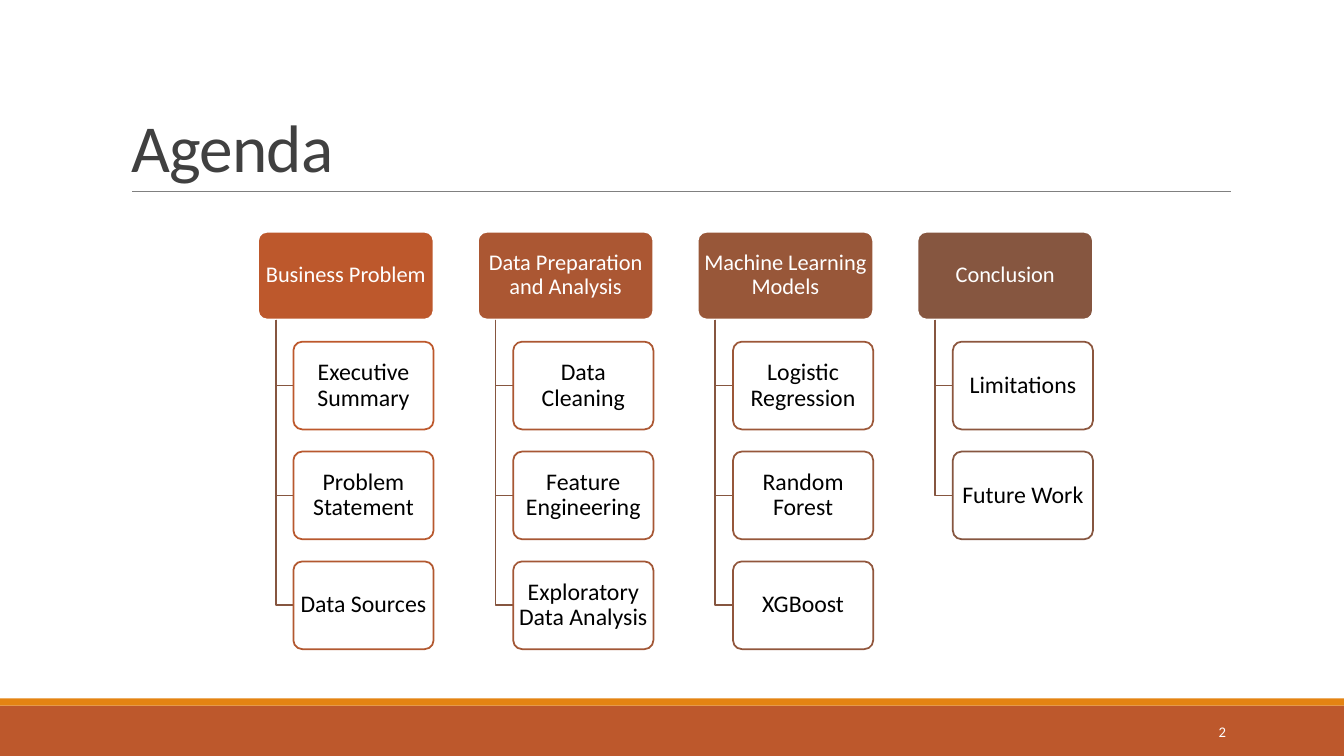
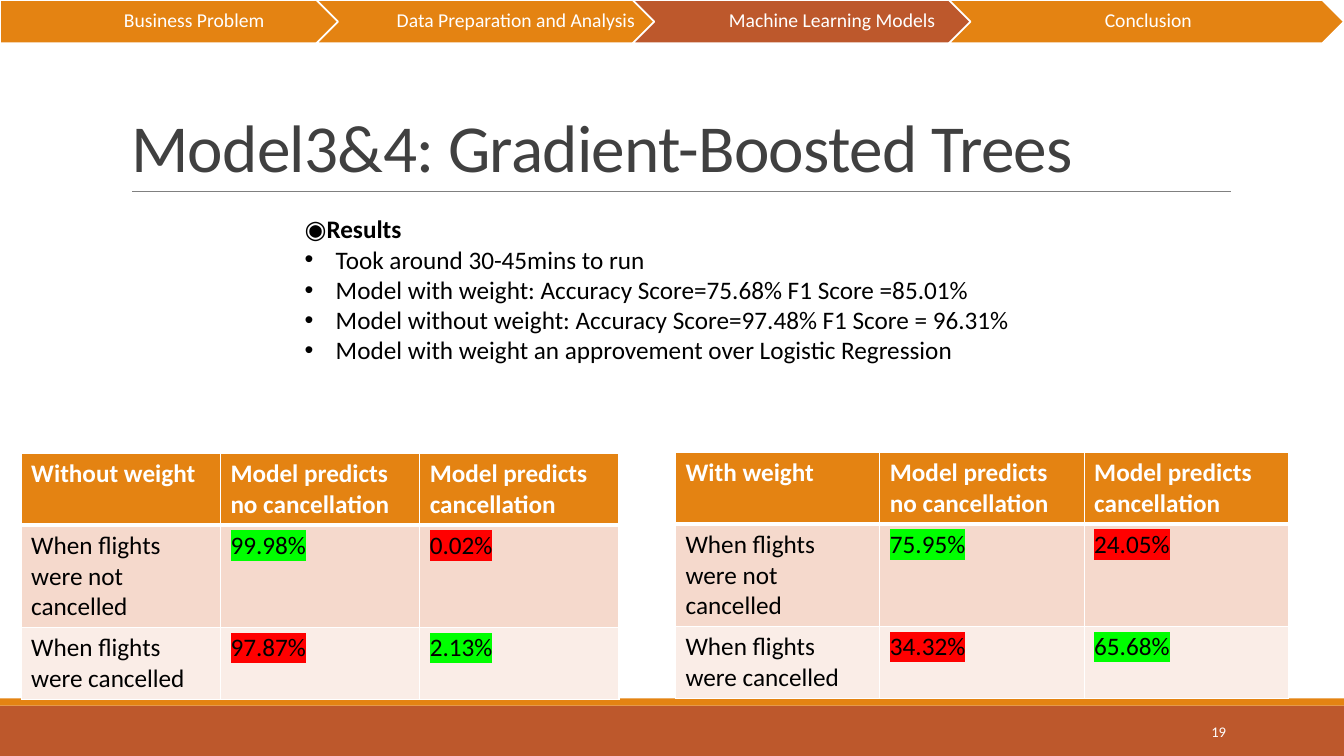
import lxml.etree
import pptx
import pptx.dml.color
import pptx.enum.shapes
import pptx.enum.text
import pptx.oxml.ns
import pptx.util

Inches = pptx.util.Inches
Pt = pptx.util.Pt
RGBColor = pptx.dml.color.RGBColor
SHAPE = pptx.enum.shapes.MSO_SHAPE
ALIGN = pptx.enum.text.PP_ALIGN
ANCHOR = pptx.enum.text.MSO_ANCHOR
qn = pptx.oxml.ns.qn

RUST = RGBColor(0xBD, 0x58, 0x2C)
ORANGE = RGBColor(0xE4, 0x83, 0x12)
BROWN = RGBColor(0x86, 0x56, 0x40)
WHITE = RGBColor(0xFF, 0xFF, 0xFF)
BLACK = RGBColor(0x00, 0x00, 0x00)
CHARCOAL = RGBColor(0x40, 0x40, 0x40)
GRAY = RGBColor(0x80, 0x80, 0x80)
PEACH = RGBColor(0xF5, 0xD9, 0xCC)
PALE_PEACH = RGBColor(0xFA, 0xED, 0xE7)
GREEN = RGBColor(0x00, 0xFF, 0x00)
RED = RGBColor(0xFF, 0x00, 0x00)

FONT = "Calibri"
PAGE_WIDTH, PAGE_HEIGHT = 13.33, 7.5
TITLE_ONLY, TITLE_AND_CONTENT = 5, 1

AGENDA = {
    "Business Problem": ["Executive Summary", "Problem Statement", "Data Sources"],
    "Data Preparation and Analysis": [
        "Data Cleaning", "Feature Engineering", "Exploratory Data Analysis"],
    "Machine Learning Models": ["Logistic Regression", "Random Forest", "XGBoost"],
    "Conclusion": ["Limitations", "Future Work"],
}
RESULTS = [
    "Took around 30-45mins to run",
    "Model with weight: Accuracy Score=75.68% F1 Score =85.01%",
    "Model without weight: Accuracy Score=97.48% F1 Score = 96.31%",
    "Model with weight an approvement over Logistic Regression",
]
PREDICTIONS = ["Model predicts no cancellation", "Model predicts cancellation"]
OUTCOMES = ["When flights were not cancelled", "When flights were cancelled"]


def place(left, top, width, height):
    return Inches(left), Inches(top), Inches(width), Inches(height)


def add_text(para, text, *, size=18, color=BLACK, bold=False, align=ALIGN.LEFT,
             line_spacing=1.0, tracking=None, highlight=None):
    """Append one formatted span to a paragraph."""
    para.alignment = align
    para.line_spacing = line_spacing
    para.space_before = para.space_after = Pt(0)
    span = para.add_run()
    span.text = text
    span.font.name = FONT
    span.font.size = Pt(size)
    span.font.bold = bold
    span.font.color.rgb = color
    properties = span.font._element
    if tracking is not None:
        properties.set("spc", str(int(tracking * 100)))
    if highlight is not None:
        marker = lxml.etree.Element(qn("a:highlight"))
        lxml.etree.SubElement(marker, qn("a:srgbClr"), val=str(highlight))
        properties.find(qn("a:solidFill")).addnext(marker)


def set_frame(frame, anchor, inset=None):
    frame.word_wrap = True
    frame.auto_size = pptx.enum.text.MSO_AUTO_SIZE.NONE
    frame.vertical_anchor = anchor
    if inset is not None:
        frame.margin_left = frame.margin_right = Inches(inset)
        frame.margin_top = frame.margin_bottom = Inches(0.02)


def set_bullet(para, character=None, indent=0.0):
    properties = para._p.get_or_add_pPr()
    properties.set("marL", str(Inches(indent)))
    properties.set("indent", str(-Inches(indent)))
    if character is None:
        lxml.etree.SubElement(properties, qn("a:buNone"))
    else:
        lxml.etree.SubElement(properties, qn("a:buFont"), typeface="Arial")
        lxml.etree.SubElement(properties, qn("a:buChar"), char=character)


def add_box(page, kind, bounds, fill, line=None):
    box = page.shapes.add_shape(kind, *place(*bounds))
    box.shadow.inherit = False
    box.fill.solid()
    box.fill.fore_color.rgb = fill
    if line is None:
        box.line.fill.background()
    else:
        box.line.color.rgb = line
        box.line.width = Pt(1.25)
    return box


def add_page(deck, layout, title, number):
    """Add a slide with the shared title, rule, bands and page number."""
    page = deck.slides.add_slide(deck.slide_layouts[layout])
    add_box(page, SHAPE.RECTANGLE, (0, 7, PAGE_WIDTH, 0.5), RUST)
    add_box(page, SHAPE.RECTANGLE, (0, 6.93, PAGE_WIDTH, 0.07), ORANGE)

    rule = page.shapes.add_connector(
        pptx.enum.shapes.MSO_CONNECTOR.STRAIGHT,
        Inches(1.31), Inches(1.9), Inches(12.21), Inches(1.9))
    rule.line.color.rgb = GRAY
    rule.line.width = Pt(0.5)
    lxml.etree.SubElement(rule._element.spPr, qn("a:effectLst"))

    heading = page.shapes.title
    heading.left, heading.top, heading.width, heading.height = place(1.2, 0.31, 11, 1.59)
    set_frame(heading.text_frame, ANCHOR.BOTTOM)
    add_text(heading.text_frame.paragraphs[0], title, size=48, color=CHARCOAL,
             line_spacing=0.85, tracking=-0.5)

    footer = page.shapes.add_textbox(*place(10.83, 7.06, 1.43, 0.4))
    set_frame(footer.text_frame, ANCHOR.MIDDLE)
    add_text(footer.text_frame.paragraphs[0], str(number), size=10.5, color=WHITE,
             align=ALIGN.RIGHT)
    return page


def blend(share):
    """Colour between rust (0) and brown (1)."""
    return RGBColor(*(round(a + (b - a) * share) for a, b in zip(RUST, BROWN)))


def add_card(page, bounds, text, fill, line, size, color):
    card = add_box(page, SHAPE.ROUNDED_RECTANGLE, bounds, fill, line)
    card.adjustments[0] = 0.1
    set_frame(card.text_frame, ANCHOR.MIDDLE, 0.03)
    add_text(card.text_frame.paragraphs[0], text, size=size, color=color,
             align=ALIGN.CENTER, line_spacing=0.9)


def add_branch(page, left, top, width, height):
    """Draw an L-shaped line, down and then right."""
    x, y, run, drop = place(left, top, width, height)
    builder = page.shapes.build_freeform(x, y)
    builder.add_line_segments([(x, y + drop), (x + run, y + drop)], close=False)
    branch = builder.convert_to_shape()
    branch.shadow.inherit = False
    branch.fill.background()
    branch.line.color.rgb = BROWN
    branch.line.width = Pt(1.25)


def add_agenda_tree(page, left, top):
    card_width, card_height, column_step, row_step = 1.74, 0.87, 2.18, 1.09
    indent = 0.35
    last_topic = len(AGENDA) - 1
    last_item = sum(len(items) for items in AGENDA.values()) - 1
    item_index = 0
    for column, (topic, items) in enumerate(AGENDA.items()):
        x = left + column * column_step
        add_card(page, (x, top, card_width, card_height), topic,
                 blend(column / last_topic), WHITE, 16, WHITE)
        for row, item in enumerate(items, start=1):
            y = top + row * row_step
            add_branch(page, x + indent / 2, top + card_height,
                       indent / 2, row * row_step - card_height / 2)
            add_card(page, (x + indent, y, card_width - indent, card_height), item,
                     WHITE, blend(item_index / last_item), 17, BLACK)
            item_index += 1


def add_progress_bar(page, current):
    width, height = 3.92, 0.43
    step = (PAGE_WIDTH - width) / (len(AGENDA) - 1)
    for index, topic in enumerate(AGENDA):
        kind = SHAPE.CHEVRON if index else SHAPE.PENTAGON
        fill = RUST if topic == current else ORANGE
        arrow = add_box(page, kind, (index * step, 0, width, height), fill, WHITE)
        set_frame(arrow.text_frame, ANCHOR.MIDDLE, 0.02)
        arrow.text_frame.margin_left = Inches(0.06)
        add_text(arrow.text_frame.paragraphs[0], topic, size=14, color=WHITE,
                 align=ALIGN.CENTER, line_spacing=0.9)


def fill_results(body, left, top, width, height):
    body.left, body.top, body.width, body.height = place(left, top, width, height)
    frame = body.text_frame
    set_frame(frame, ANCHOR.TOP)
    heading = frame.paragraphs[0]
    add_text(heading, "◉")
    add_text(heading, "Results", bold=True)
    set_bullet(heading)
    for result in RESULTS:
        para = frame.add_paragraph()
        add_text(para, result)
        set_bullet(para, "•", 0.31)


def set_cell(cell, text, fill, top_line=1, bottom_line=1, **text_format):
    properties = cell._tc.get_or_add_tcPr()
    for side, weight in (("L", 1), ("R", 1), ("T", top_line), ("B", bottom_line)):
        border = lxml.etree.SubElement(properties, qn("a:ln" + side), w=str(Pt(weight)))
        paint = lxml.etree.SubElement(border, qn("a:solidFill"))
        lxml.etree.SubElement(paint, qn("a:srgbClr"), val=str(WHITE))
    cell.fill.solid()
    cell.fill.fore_color.rgb = fill
    add_text(cell.text_frame.paragraphs[0], text, **text_format)


def add_confusion_table(page, left, top, width, name, rates):
    heights = [0.7, 1.0, 0.7]
    table = page.shapes.add_table(3, 3, *place(left, top, width, sum(heights))).table
    table.horz_banding = False
    for row, height in zip(table.rows, heights):
        row.height = Inches(height)
    for column in table.columns:
        column.width = Inches(width / 3)
    for column, text in enumerate([name] + PREDICTIONS):
        set_cell(table.cell(0, column), text, ORANGE, bottom_line=3,
                 color=WHITE, bold=True)
    for row, (outcome, shares) in enumerate(zip(OUTCOMES, rates), start=1):
        fill, top_line = (PEACH, 3) if row == 1 else (PALE_PEACH, 1)
        set_cell(table.cell(row, 0), outcome, fill, top_line)
        for column, share in enumerate(shares, start=1):
            set_cell(table.cell(row, column), share, fill, top_line,
                     highlight=GREEN if row == column else RED)


def add_agenda_page(deck):
    page = add_page(deck, TITLE_ONLY, "Agenda", 2)
    add_agenda_tree(page, 2.56, 2.3)


def add_model_page(deck):
    page = add_page(deck, TITLE_AND_CONTENT, "Model3&4: Gradient-Boosted Trees", 19)
    fill_results(page.placeholders[1], 2.92, 2.07, 8.34, 2.22)
    add_confusion_table(page, 0.21, 4.5, 5.93, "Without weight",
                        [("99.98%", "0.02%"), ("97.87%", "2.13%")])
    add_confusion_table(page, 6.7, 4.49, 6.08, "With weight",
                        [("75.95%", "24.05%"), ("34.32%", "65.68%")])
    add_progress_bar(page, "Machine Learning Models")


def main():
    deck = pptx.Presentation()
    deck.slide_width = Inches(PAGE_WIDTH)
    deck.slide_height = Inches(PAGE_HEIGHT)
    add_agenda_page(deck)
    add_model_page(deck)
    deck.save("out.pptx")


if __name__ == "__main__":
    main()
